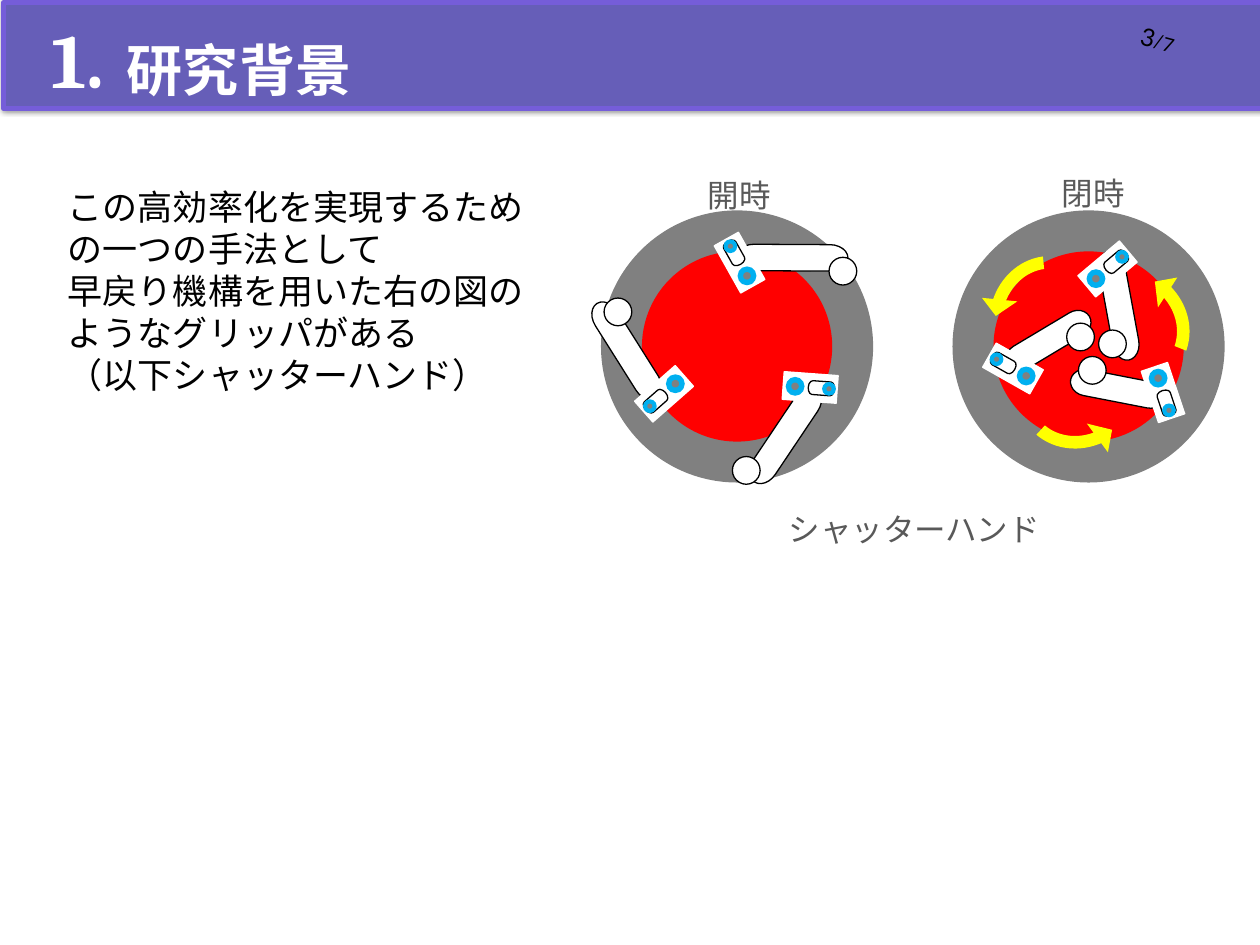
import math
from dataclasses import dataclass
from typing import Optional

import lxml.etree
import pptx
import pptx.dml.color
import pptx.enum.shapes
import pptx.enum.text
import pptx.oxml.ns
import pptx.util

Inches = pptx.util.Inches
Pt = pptx.util.Pt
RGBColor = pptx.dml.color.RGBColor
Shape = pptx.enum.shapes.MSO_SHAPE
Anchor = pptx.enum.text.MSO_ANCHOR
Align = pptx.enum.text.PP_ALIGN
AutoSize = pptx.enum.text.MSO_AUTO_SIZE
qn = pptx.oxml.ns.qn

WHITE = RGBColor(0xFF, 0xFF, 0xFF)
BLACK = RGBColor(0, 0, 0)
GRAY = RGBColor(0x80, 0x80, 0x80)
LABEL_GRAY = RGBColor(0x59, 0x59, 0x59)
RED = RGBColor(0xFF, 0, 0)
YELLOW = RGBColor(0xFF, 0xFF, 0)
BLUE = RGBColor(0, 0xB0, 0xF0)
BANNER = RGBColor(0x66, 0x5E, 0xB8)
BANNER_EDGE = RGBColor(0x75, 0x5D, 0xD9)

HAND_Y = 2.75
ARROW_SHAPE = (0.088, 10.793, 204.984, 168.412, 0.125)


@dataclass
class Point:
    x: float
    y: float

    def offset(self, along: float, across: float, angle: float) -> "Point":
        turn = math.radians(angle)
        return Point(
            self.x + along * math.cos(turn) - across * math.sin(turn),
            self.y + along * math.sin(turn) + across * math.cos(turn),
        )


@dataclass
class Finger:
    bar: Point
    length: float
    bar_angle: float
    tip_reach: float
    plate: Point
    plate_angle: float


@dataclass
class Arrow:
    center: Point
    angle: float


@dataclass
class Label:
    text: str
    left: float
    top: float
    width: float


OPEN_FINGERS = [
    Finger(Point(6.235, 3.455), 0.89, 123.8, 0.405, Point(6.43, 3.075), 94.2),
    Finger(Point(6.285, 2.045), 0.89, 0.3, 0.405, Point(5.87, 2.085), 330.7),
    Finger(Point(4.975, 2.785), 0.89, 237.8, 0.3, Point(5.27, 3.125), 228.7),
]
CLOSED_FINGERS = [
    Finger(Point(8.87, 3.085), 0.76, 191, 0.225, Point(9.23, 3.115), 161.4),
    Finger(Point(8.88, 2.425), 0.88, 79.6, 0.29, Point(8.79, 2.135), 50),
    Finger(Point(8.32, 2.705), 0.76, 329.1, 0.235, Point(8.04, 2.925), 299.5),
]
ARROWS = [
    Arrow(Point(8.325, 2.55), 5.4),
    Arrow(Point(8.575, 3.07), 233.3),
    Arrow(Point(8.935, 2.59), 122.6),
]
LABELS = [
    Label("シャッターハンド", 6.16, 4, 2.22),
    Label("開時", 5.52, 1.35, 0.7),
    Label("閉時", 8.33, 1.33, 0.7),
]


def add_part(page, kind, center: Point, width: float, height: float,
             fill: Optional[RGBColor], line: Optional[RGBColor] = None,
             angle: float = 0, weight: float = 0.75):
    shape = page.shapes.add_shape(
        kind, Inches(center.x - width / 2), Inches(center.y - height / 2),
        Inches(width), Inches(height))
    shape.rotation = angle
    shape.shadow.inherit = False
    if fill is None:
        shape.fill.background()
    else:
        shape.fill.solid()
        shape.fill.fore_color.rgb = fill
    if line is None:
        shape.line.fill.background()
    else:
        shape.line.color.rgb = line
        shape.line.width = Pt(weight)
    return shape


def add_text(page, lines: list[str], left: float, top: float, width: float,
             height: float, size: float, color: RGBColor, font: str = "Lato",
             bold: bool = False, middle: bool = False):
    box = page.shapes.add_textbox(
        Inches(left), Inches(top), Inches(width), Inches(height))
    frame = box.text_frame
    frame.word_wrap = True
    frame.auto_size = AutoSize.NONE if middle else AutoSize.SHAPE_TO_FIT_TEXT
    frame.vertical_anchor = Anchor.MIDDLE if middle else Anchor.TOP
    frame.text = "\n".join(lines)
    for para in frame.paragraphs:
        para.font.name = font
        para.font.size = Pt(size)
        para.font.bold = bold
        para.font.color.rgb = color
    return box


def add_banner(page) -> None:
    banner = add_part(page, Shape.RECTANGLE, Point(5.03, 0.44), 10, 0.84,
                      BANNER, BANNER_EDGE, weight=3)
    effects = banner.element.spPr.find(qn("a:effectLst"))
    shadow = lxml.etree.SubElement(effects, qn("a:outerShdw"),
                                   blurRad=str(Pt(3)), dist="0", dir="0")
    color = lxml.etree.SubElement(shadow, qn("a:srgbClr"), val="000000")
    lxml.etree.SubElement(color, qn("a:alpha"), val="40000")


def add_page_number(page) -> None:
    box = add_text(page, ["3"], 8.81, 0.11, 0.76, 0.4, 14, BLACK, middle=True)
    box.rotation = 15
    para = box.text_frame.paragraphs[0]
    para.alignment = Align.CENTER
    span = para.add_run()
    span.text = "/7"
    span.font.size = Pt(11)


def add_hand(page, x: float) -> None:
    for diameter, color in ((2.16, GRAY), (1.51, RED)):
        add_part(page, Shape.OVAL, Point(x, HAND_Y), diameter, diameter, color)


def add_pin(page, center: Point, diameter: float, hole: float) -> None:
    add_part(page, Shape.OVAL, center, diameter, diameter, BLUE)
    add_part(page, Shape.OVAL, center, hole, hole, GRAY)


def add_finger(page, finger: Finger) -> None:
    plate, angle = finger.plate, finger.plate_angle
    tip = finger.bar.offset(finger.tip_reach, 0.105, finger.bar_angle)
    add_part(page, Shape.FLOWCHART_TERMINATOR, finger.bar, finger.length, 0.21,
             WHITE, BLACK, finger.bar_angle)
    add_part(page, Shape.OVAL, tip, 0.22, 0.22, WHITE, BLACK)
    add_part(page, Shape.RECTANGLE, plate, 0.22, 0.43, WHITE, WHITE, angle)
    add_pin(page, plate.offset(0, 0.12, angle), 0.15, 0.06)
    add_part(page, Shape.FLOWCHART_TERMINATOR, plate.offset(0, -0.09, angle),
             0.21, 0.11, None, BLACK, angle - 90)
    add_pin(page, plate.offset(0, -0.15, angle), 0.11, 0.04)


def add_arrow(page, arrow: Arrow) -> None:
    shape = add_part(page, Shape.CIRCULAR_ARROW, arrow.center, 1.13, 1.22,
                     YELLOW, angle=arrow.angle)
    shape.element.spPr.find(qn("a:xfrm")).set("flipH", "1")
    for index, value in enumerate(ARROW_SHAPE):
        shape.adjustments[index] = value


def main() -> None:
    deck = pptx.Presentation()
    deck.slide_width = Inches(10)
    deck.slide_height = Inches(7.5)
    page = deck.slides.add_slide(deck.slide_layouts[6])

    add_banner(page)
    add_page_number(page)
    add_text(page, ["研究背景"], 0.91, -0.08, 9, 1.25, 32, WHITE,
             bold=True, middle=True)
    add_text(page, ["1."], 0.31, 0.04, 0.75, 0.84, 44, WHITE, "Cambria", bold=True)
    add_text(page, ["この高効率化を実現するための一つの手法として",
                    "早戻り機構を用いた右の図のようなグリッパがある",
                    "（以下シャッターハンド）"],
             0.44, 1.42, 3.83, 1.78, 20, BLACK)

    for x, fingers in ((5.85, OPEN_FINGERS), (8.64, CLOSED_FINGERS)):
        add_hand(page, x)
        for finger in fingers:
            add_finger(page, finger)
    for arrow in ARROWS:
        add_arrow(page, arrow)
    for label in LABELS:
        add_text(page, [label.text], label.left, label.top, label.width, 0.4,
                 18, LABEL_GRAY)

    deck.save("out.pptx")


if __name__ == "__main__":
    main()
